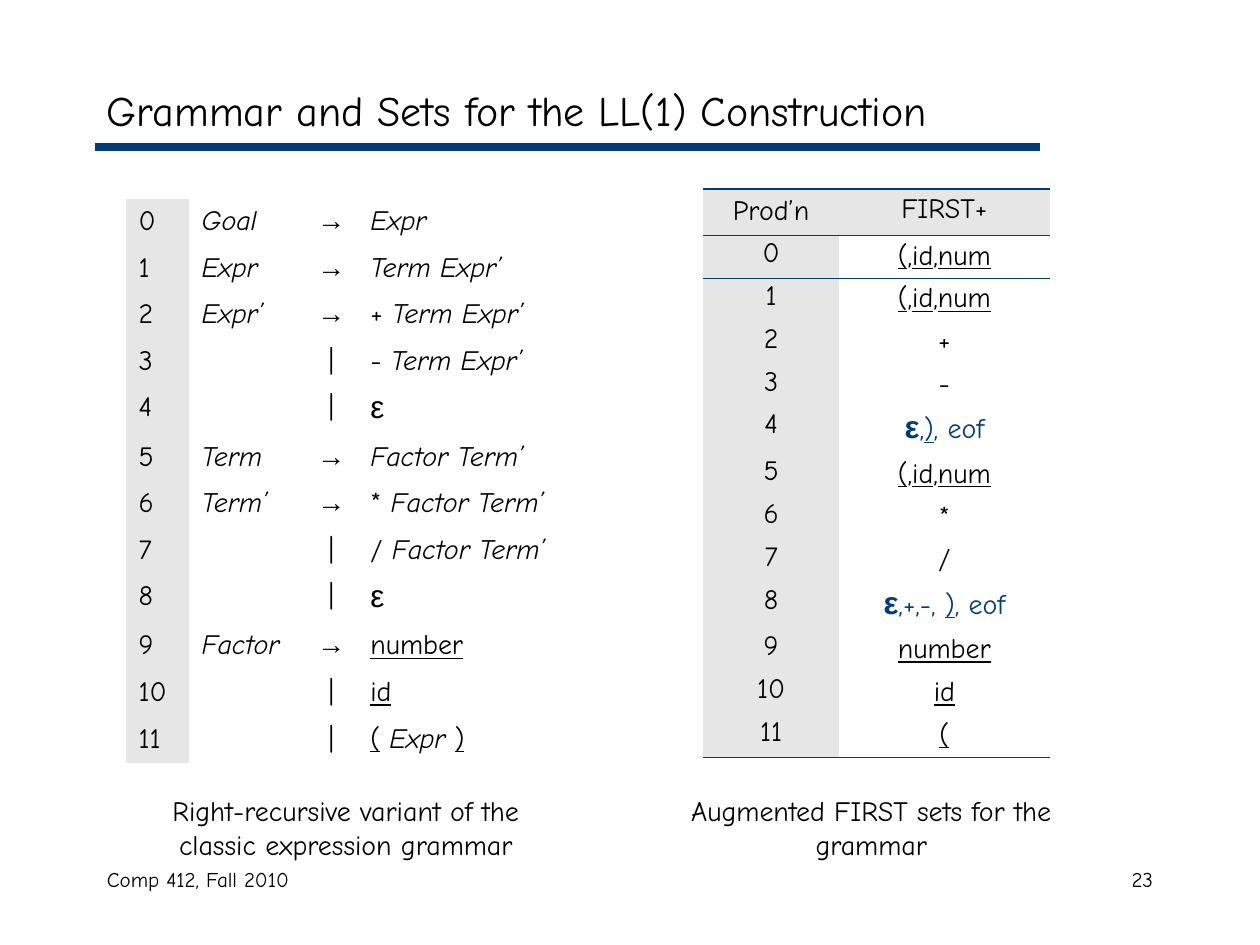
from lxml.etree import SubElement
from pptx import Presentation
from pptx.dml.color import RGBColor
from pptx.enum.shapes import MSO_CONNECTOR
from pptx.enum.text import MSO_ANCHOR, PP_ALIGN
from pptx.oxml.ns import qn
from pptx.util import Inches, Pt

COLORS = {"text": "000000", "accent": "003C75", "band": "E6E6E6"}
FONT, SYMBOL_FONT = "Comic Neue", "Arial"
NO_STYLE = "{2D5ABB26-0587-4C30-8999-92F81FD0307C}"
LEFT, CENTER, RIGHT = PP_ALIGN.LEFT, PP_ALIGN.CENTER, PP_ALIGN.RIGHT

# Content: a run is (text, style letters), with i = italic, u = underline, b = bold
TITLE = "Grammar and Sets for the LL(1) Construction"
FOOTER, PAGE = "Comp 412, Fall 2010", "23"
CAPTIONS = [
    (1.08, "Right-recursive variant of the classic expression grammar"),
    (5.25, "Augmented FIRST sets for the grammar"),
]
GRAMMAR = [  # left side (empty for an alternative), right side
    ("Goal", [("Expr", "i")]),
    ("Expr", [("Term Expr’", "i")]),
    ("Expr’", [("+ ", ""), ("Term Expr’", "i")]),
    ("", [("- ", ""), ("Term Expr’", "i")]),
    ("", [("ε", "")]),
    ("Term", [("Factor Term’", "i")]),
    ("Term’", [("* ", ""), ("Factor Term’", "i")]),
    ("", [("/ ", ""), ("Factor Term’", "i")]),
    ("", [("ε", "")]),
    ("Factor", [("number", "u")]),
    ("", [("id", "u")]),
    ("", [("(", "u"), (" ", ""), ("Expr ", "i"), (")", "u")]),
]
OPERAND = [("(", "u"), (",", ""), ("id", "u"), (",", ""), ("num", "u")]
FIRST_SETS = [
    OPERAND,
    OPERAND,
    [("+", "")],
    [("-", "")],
    [("ε", "b"), (",", ""), (")", "u"), (", eof", "")],
    OPERAND,
    [("*", "")],
    [("/", "")],
    [("ε", "b"), (",+,-, ", ""), (")", "u"), (", eof", "")],
    [("number", "u")],
    [("id", "u")],
    [("(", "u")],
]


def rgb(name):
    return RGBColor.from_string(COLORS[name])


def write(tf, runs, size=16, align=LEFT, color="text", spacing=None, before=0):
    p = tf.paragraphs[0]
    p.alignment = align
    p.font.name, p.font.size = FONT, Pt(size)
    p.font.color.rgb = rgb(color)
    if spacing:
        p.line_spacing = spacing
    if before:
        p.space_before = Pt(before)
    for text, style in runs:
        r = p.add_run()
        r.text = text
        if "i" in style:
            r.font.italic = True
        if "u" in style:
            r.font.underline = True
        if "b" in style:
            r.font.bold = True
        if text in ("→", "ε"):
            r.font.name = SYMBOL_FONT
        if text == "ε":
            r.font.size = Pt(18)


def add_text(s, box, text, anchor=MSO_ANCHOR.TOP, **fmt):
    tf = s.shapes.add_textbox(*map(Inches, box)).text_frame
    tf.word_wrap = True
    tf.vertical_anchor = anchor
    write(tf, [(text, "")], **fmt)


def add_table(s, x, y, widths, heights):
    frame = s.shapes.add_table(len(heights), len(widths), Inches(x), Inches(y),
                               Inches(sum(widths)), Inches(sum(heights)))
    table = frame.table
    table.first_row = table.horz_banding = False
    table._tbl.tblPr.find(qn("a:tableStyleId")).text = NO_STYLE
    for col, width in zip(table.columns, widths):
        col.width = Inches(width)
    for row, height in zip(table.rows, heights):
        row.height = Inches(height)
    return table


def fill_cell(cell, runs, banded=False, borders=(), **fmt):
    for side, width in borders:
        ln = SubElement(cell._tc.get_or_add_tcPr(), qn(f"a:{side}"), w=str(Pt(width)))
        fill = SubElement(ln, qn("a:solidFill"))
        SubElement(fill, qn("a:srgbClr"), val=COLORS["accent"])
    if banded:
        cell.fill.solid()
        cell.fill.fore_color.rgb = rgb("band")
    else:
        cell.fill.background()
    if not runs:  # keeps an empty cell from stretching its row
        cell.margin_top = cell.margin_bottom = 0
    write(cell.text_frame, runs, **fmt)


def add_grammar(s):
    heights = [0.39 if rhs[0][0] == "ε" else 0.37 for _, rhs in GRAMMAR]
    table = add_table(s, 1, 1.58, [0.5, 0.92, 0.42, 1.75], heights)
    for i, (lhs, rhs) in enumerate(GRAMMAR):
        fill_cell(table.cell(i, 0), [(str(i), "")], banded=True)
        fill_cell(table.cell(i, 1), [(lhs, "i")] if lhs else [])
        fill_cell(table.cell(i, 2), [("→" if lhs else "|", "")], align=CENTER)
        fill_cell(table.cell(i, 3), rhs, spacing=0.95 if rhs[0][0] == "ε" else None)


def add_first_sets(s):
    heights = [0.37] + [0.37 if runs[0][0] == "ε" else 0.34 for runs in FIRST_SETS]
    table = add_table(s, 5.58, 1.5, [1.08, 1.67], heights)
    header = dict(banded=True, align=CENTER, borders=[("lnT", 1.08), ("lnB", 0.45)])
    fill_cell(table.cell(0, 0), [("Prod’n", "")], **header)
    fill_cell(table.cell(0, 1), [("FIRST+", "")], spacing=0.9, **header)
    for i, runs in enumerate(FIRST_SETS):
        borders = []
        if i == 0:
            borders = [("lnT", 0.45)]
        elif i == len(FIRST_SETS) - 1:
            borders = [("lnB", 1.08)]
        body = dict(align=CENTER, before=4, borders=borders)
        fill_cell(table.cell(i + 1, 0), [(str(i), "")], banded=True, spacing=0.8, **body)
        color = "accent" if runs[0][0] == "ε" else "text"
        fill_cell(table.cell(i + 1, 1), runs, color=color, spacing=0.9, **body)


def main():
    prs = Presentation()
    prs.slide_width, prs.slide_height = Inches(10), Inches(7.5)
    s = prs.slides.add_slide(prs.slide_layouts[6])

    # Title rule, footer and title
    rule = s.shapes.add_connector(MSO_CONNECTOR.STRAIGHT, Inches(0.75), Inches(1.17),
                                  Inches(8.25), Inches(1.17))
    rule.line.color.rgb = rgb("accent")
    rule.line.width = Pt(4.5)
    SubElement(rule._element.spPr, qn("a:effectLst"))
    add_text(s, (0.75, 6.83, 3.17, 0.5), FOOTER, size=12)
    add_text(s, (7.17, 6.83, 2.08, 0.5), PAGE, size=12, align=RIGHT)
    add_text(s, (0.75, 0.58, 8.5, 0.58), TITLE, anchor=MSO_ANCHOR.MIDDLE, size=24)

    # Tables and their captions
    add_grammar(s)
    add_first_sets(s)
    for x, caption in CAPTIONS:
        add_text(s, (x, 6.25, 3.33, 0.64), caption, align=CENTER, before=10)

    prs.save("out.pptx")


if __name__ == "__main__":
    main()
